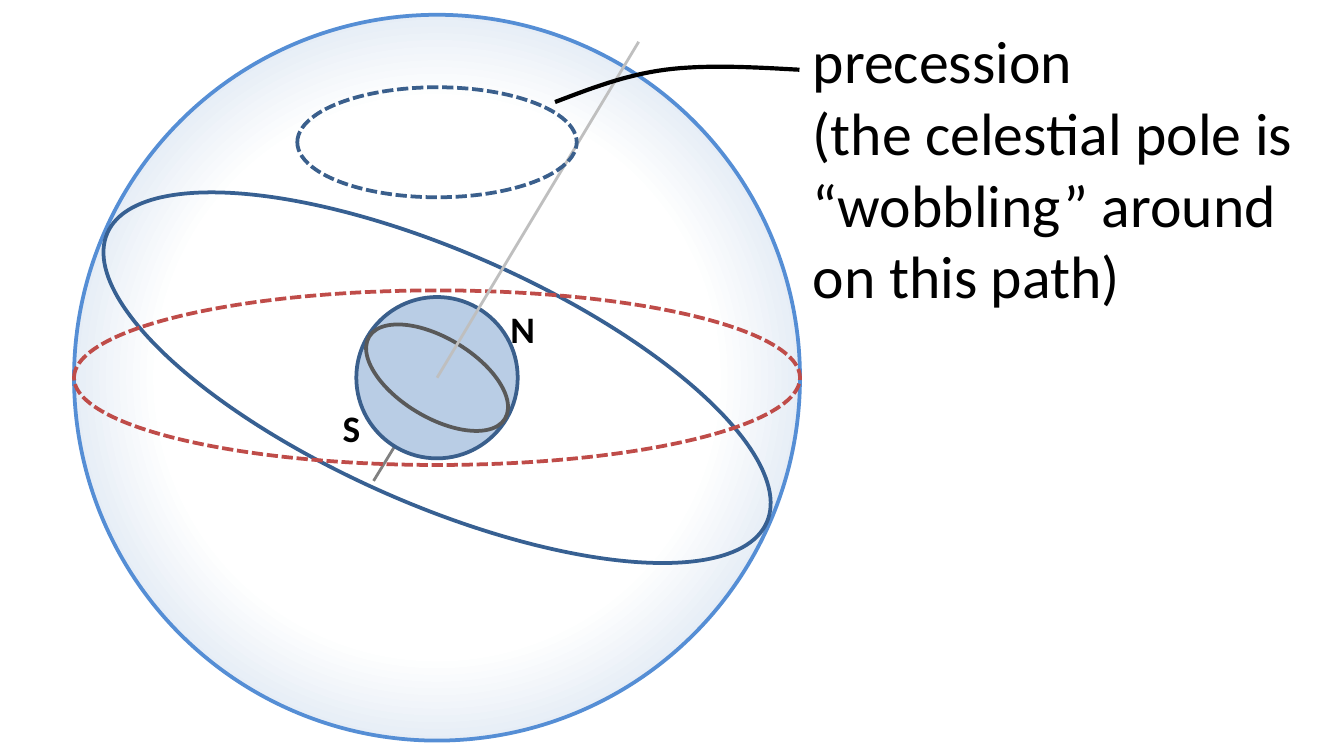
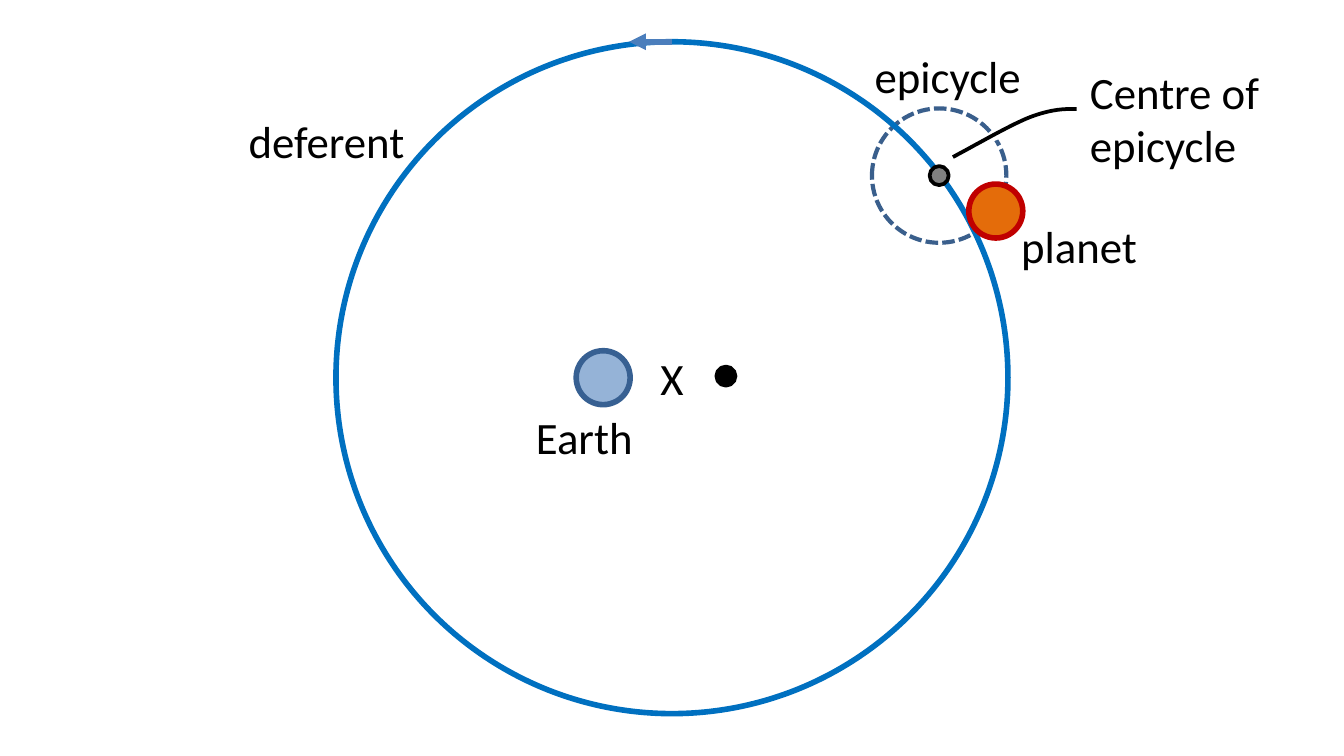
from lxml import etree
from pptx import Presentation
from pptx.dml.color import RGBColor
from pptx.enum.dml import MSO_LINE
from pptx.enum.shapes import MSO_CONNECTOR, MSO_SHAPE
from pptx.enum.text import MSO_AUTO_SIZE, PP_ALIGN
from pptx.oxml import parse_xml
from pptx.oxml.ns import qn
from pptx.util import Cm, Pt

BLACK, WHITE = "000000", "FFFFFF"
NAVY, STEEL, PALE = "376092", "3A5F8C", "B9CDE5"
FONT = "Calibri"
MID = 7.14  # height of the slide's centre, in cm
STEPS = 16  # straight pieces per curve
GRAD = (
    '<a:gradFill xmlns:a="http://schemas.openxmlformats.org/drawingml/2006/main" rotWithShape="1">'
    '<a:gsLst><a:gs pos="54000"><a:srgbClr val="{}"/></a:gs>'
    '<a:gs pos="100000"><a:srgbClr val="{}"/></a:gs></a:gsLst>'
    '<a:path path="circle"><a:fillToRect l="50000" t="50000" r="50000" b="50000"/></a:path>'
    '</a:gradFill>'
)


def paint(fill, color):
    """Fill with a hex colour, or leave empty for None."""
    if color:
        fill.solid()
        fill.fore_color.rgb = RGBColor.from_string(color)
    else:
        fill.background()


def stroke(shape, color, width, dashed=False):
    paint(shape.line.fill, color)
    shape.line.width = Pt(width)
    if dashed:
        shape.line.dash_style = MSO_LINE.SQUARE_DOT


def add_oval(slide, center, size, color, width=2, fill=None, dashed=False, turn=0):
    """Add an ellipse around its centre; fill may be a pair for a radial gradient."""
    (x, y), (w, h) = center, size
    oval = slide.shapes.add_shape(MSO_SHAPE.OVAL, Cm(x - w / 2), Cm(y - h / 2), Cm(w), Cm(h))
    oval.shadow.inherit = False
    oval.rotation = turn
    stroke(oval, color, width, dashed)
    if isinstance(fill, tuple):
        form = oval.element.spPr.find(qn("a:prstGeom"))
        form.addnext(parse_xml(GRAD.format(*fill)))
    else:
        paint(oval.fill, fill)


def add_disc(slide, center, span, color, width=2, **style):
    add_oval(slide, center, (span, span), color, width, **style)


def add_line(slide, start, end, color, width, arrow=False):
    ends = [Cm(v) for v in (*start, *end)]
    line = slide.shapes.add_connector(MSO_CONNECTOR.STRAIGHT, *ends)
    stroke(line, color, width)
    if arrow:
        etree.SubElement(line.line._get_or_add_ln(), qn("a:tailEnd"), type="triangle")
    etree.SubElement(line.element.spPr, qn("a:effectLst"))


def bend(knots, t):
    """Return the point at t on a cubic Bezier curve."""
    u = 1 - t
    parts = (u ** 3, 3 * u * u * t, 3 * u * t * t, t ** 3)
    return tuple(Cm(sum(p * k[i] for p, k in zip(parts, knots))) for i in (0, 1))


def add_curve(slide, knots, width, fill=None):
    """Draw a leader through cubic pieces: a start, then three knots for each piece."""
    dots = [bend(knots[i:i + 4], n / STEPS)
            for i in range(0, len(knots) - 1, 3) for n in range(1, STEPS + 1)]
    path = slide.shapes.build_freeform(*bend(knots[:4], 0))
    path.add_line_segments(dots, close=False)
    curve = path.convert_to_shape()
    curve.shadow.inherit = False
    paint(curve.fill, fill)
    stroke(curve, BLACK, width)


def add_label(slide, box, text, size=24, bold=False, align=PP_ALIGN.LEFT):
    frame = slide.shapes.add_textbox(*[Cm(v) for v in box]).text_frame
    frame.word_wrap = True
    frame.auto_size = MSO_AUTO_SIZE.SHAPE_TO_FIT_TEXT
    frame.text = text
    look = {"name": FONT, "size": Pt(size), "bold": bold}
    for para in frame.paragraphs:
        para.alignment = align
        for key, value in look.items():
            setattr(para.runs[0].font, key, value)
        para.runs[0].font.color.rgb = RGBColor.from_string(BLACK)


def draw_sphere(slide):
    core = (8.26, MID)
    add_disc(slide, core, 13.72, "558ED5", fill=(WHITE, PALE))
    add_line(slide, (7.06, 9.09), (8.64, 6.5), "808080", 1.5)
    add_disc(slide, core, 3.05, STEEL, fill=PALE)
    add_oval(slide, core, (3, 1.5), "595959", turn=31.1)
    add_oval(slide, core, (13.61, 4.78), NAVY, turn=23.7)
    add_label(slide, (15.11, 0.33, 10.29, 5.74),
              "precession\n(the celestial pole is “wobbling” around on this path)", 32)
    for text, x, y in (("N", 9.19, 5.66), ("S", 5.89, 7.54)):
        add_label(slide, (x, y, 1.17, 1.12), text, 20, True, PP_ALIGN.RIGHT)
    add_oval(slide, core, (13.72, 3.3), "BF4C49", dashed=True)
    add_line(slide, core, (12.07, 0.79), "BFBFBF", 1.5)
    add_oval(slide, (core[0], 2.69), (5.28, 2.08), STEEL, dashed=True)
    add_curve(slide, [(10.49, 1.93), (11.15, 1.68), (11.81, 1.42), (12.57, 1.32),
                      (13.34, 1.22), (14.22, 1.27), (15.11, 1.32)], 2.25)


def draw_orbit(slide):
    hub = (17.75, 3.32)
    add_disc(slide, hub, 2.54, STEEL, 2.25, dashed=True)
    add_disc(slide, (12.7, MID), 12.7, "0070C0", 3)
    add_disc(slide, hub, 0.36, BLACK, fill="808080")
    add_disc(slide, (11.4, MID), 1.02, NAVY, 3, fill="95B3D7")
    add_disc(slide, (18.82, 3.99), 1.02, "C00000", 3, fill="E46C0A")
    for text, x, y, w, h in (
        ("Earth", 9.88, 7.62, 2.41, 1.27),
        ("epicycle", 16.28, 0.79, 3.3, 1.27),
        ("deferent", 4.45, 2.03, 3.71, 1.27),
        ("planet", 19.05, 4.01, 2.79, 1.27),
        ("Centre of epicycle", 20.35, 1.09, 3.86, 2.31),
    ):
        add_label(slide, (x, y, w, h), text)
    add_curve(slide, [(18.01, 2.97), (18.57, 2.67), (19.1, 2.36), (19.48, 2.21),
                      (19.89, 2.06), (20.12, 2.06), (20.35, 2.06)], 2, WHITE)
    add_line(slide, (12.7, 0.79), (11.89, 0.79), "4B7EBC", 3, arrow=True)
    add_label(slide, (11.86, 6.5, 1.68, 1.27), "X", align=PP_ALIGN.CENTER)
    add_disc(slide, (13.72, 7.11), 0.36, BLACK, fill=BLACK)


def main():
    deck = Presentation()
    deck.slide_width, deck.slide_height = Cm(25.4), Cm(14.29)
    blank = deck.slide_layouts[6]
    for draw in (draw_sphere, draw_orbit):
        draw(deck.slides.add_slide(blank))
    deck.save("out.pptx")


if __name__ == "__main__":
    main()
